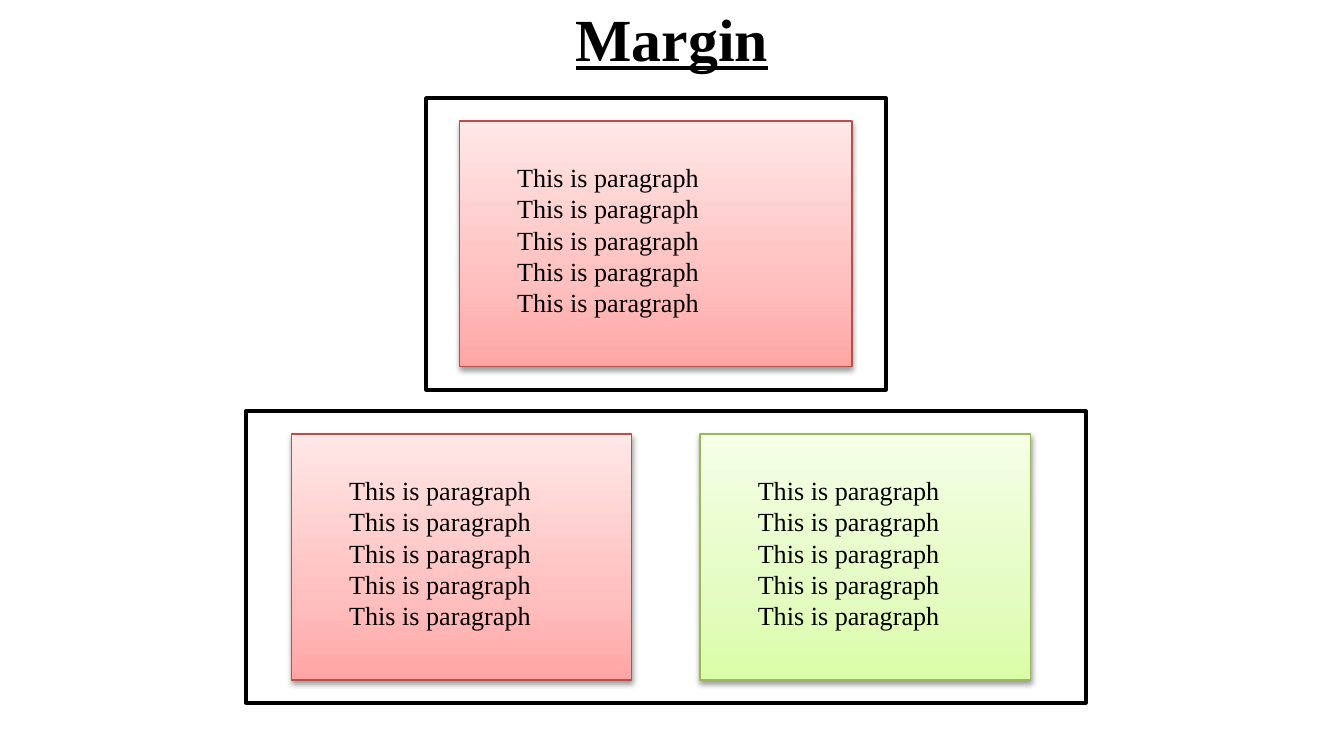
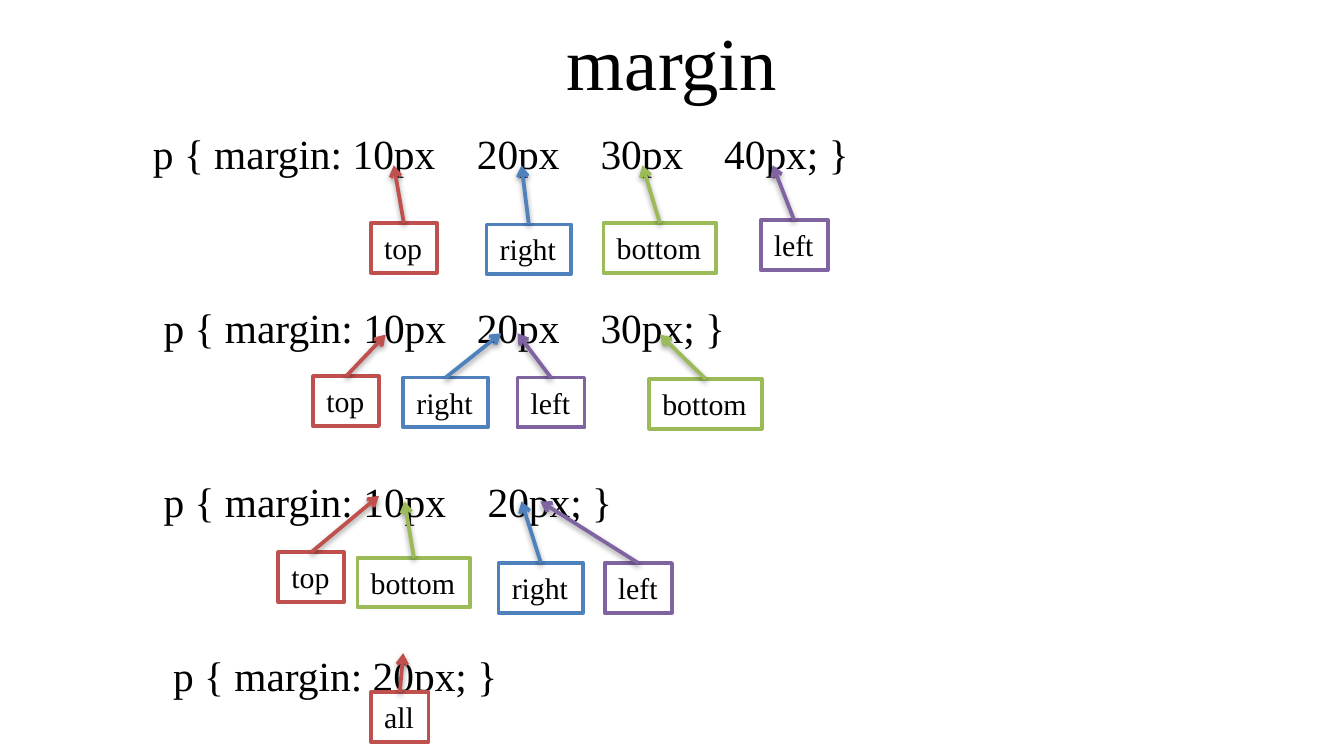
from lxml.etree import SubElement
from pptx import Presentation
from pptx.dml.color import RGBColor
from pptx.enum.shapes import MSO_CONNECTOR, MSO_SHAPE
from pptx.enum.text import MSO_ANCHOR, MSO_AUTO_SIZE, PP_ALIGN
from pptx.oxml.ns import qn
from pptx.util import Inches, Pt

FONT = "Times New Roman"
BLACK, WHITE = "000000", "FFFFFF"
# Outline, then gradient stops from the bottom edge to the top
RED_CARD = ("BF4C48", ("FFA6A5", "FFC0BF", "FFE7E7"))
GREEN_CARD = ("98B955", ("DAFDA7", "E4FCC2", "F5FFE7"))
STOP_POSITIONS = (0, 35, 100)

# Width and colour of each label
LABELS = {
    "top": (0.49, "C0504D"),
    "right": (0.63, "4F81BD"),
    "bottom": (0.84, "9BBB59"),
    "left": (0.5, "8064A2"),
    "all": (0.43, "C0504D"),
}
LABEL_HEIGHT = 0.37

# Each rule: text parts, their tab stops, labels as (word, left, top, tip x, tip y)
RULES = [
    (("p { margin: 10px", "20px", "30px", "40px; }"), (0.54, 2.95, 3.87, 4.79),
     (("top", 2.76, 1.66, 2.93, 1.23), ("right", 3.62, 1.67, 3.88, 1.23),
      ("bottom", 4.49, 1.66, 4.78, 1.23), ("left", 5.66, 1.64, 5.75, 1.23))),
    (("p { margin: 10px", "20px", "30px; }"), (0.62, 2.95, 3.87),
     (("top", 2.33, 2.8, 2.87, 2.49), ("right", 3, 2.81, 3.73, 2.48),
      ("bottom", 4.83, 2.82, 4.91, 2.49), ("left", 3.85, 2.81, 3.85, 2.48))),
    (("p { margin: 10px", "20px; }"), (0.62, 3.03),
     (("top", 2.07, 4.11, 2.82, 3.69), ("right", 3.71, 4.19, 3.88, 3.73),
      ("bottom", 2.66, 4.15, 3.01, 3.73), ("left", 4.5, 4.19, 4.02, 3.73))),
    (("p { margin: 20px; }",), (0.69,), (("all", 2.76, 5.15, 3, 4.86),)),
]


def color(value):
    """Turn a hex string into a colour."""
    return RGBColor.from_string(value)


def add_run(para, text, size, bold=False, underline=False):
    """Add one black run in the deck font."""
    span = para.add_run()
    span.text = text
    span.font.name = FONT
    span.font.size = Pt(size)
    span.font.bold = bold
    span.font.underline = underline
    span.font.color.rgb = color(BLACK)


def add_shadow(shape):
    """Give a shape or connector the soft shadow below it."""
    effects = SubElement(shape._element.spPr, qn("a:effectLst"))
    outer = SubElement(effects, qn("a:outerShdw"), blurRad=str(Pt(3.1)),
                       dist=str(Pt(1.6)), dir="5400000", rotWithShape="0")
    tone = SubElement(outer, qn("a:srgbClr"), val=BLACK)
    SubElement(tone, qn("a:alpha"), val="38000")


def add_text_box(page, left, top, width, height, wrap=True):
    """Add an empty text box and return its text frame."""
    box = page.shapes.add_textbox(Inches(left), Inches(top), Inches(width), Inches(height))
    box.text_frame.word_wrap = wrap
    return box.text_frame


def add_title(page, text, top, size, strong=False):
    """Centre the title; a strong one is bold and underlined."""
    frame = add_text_box(page, 0.5, top, 9, 0.94)
    frame.vertical_anchor = MSO_ANCHOR.MIDDLE
    para = frame.paragraphs[0]
    para.alignment = PP_ALIGN.CENTER
    add_run(para, text, size, bold=strong, underline=strong)


def add_rectangle(page, left, top, width, height, outline, weight):
    """Add a white rectangle with an outline."""
    box = page.shapes.add_shape(MSO_SHAPE.RECTANGLE, Inches(left), Inches(top),
                                Inches(width), Inches(height))
    box.fill.solid()
    box.fill.fore_color.rgb = color(WHITE)
    box.line.color.rgb = color(outline)
    box.line.width = Pt(weight)
    return box


def add_card(page, left, top, width, style):
    """Add a gradient card with five lines of text inset in it."""
    outline, tones = style
    card = add_rectangle(page, left, top, width, 1.83, outline, 0.75)
    card.fill.gradient()
    card.fill.gradient_angle = 90
    stops = card._element.spPr.find(qn("a:gradFill")).find(qn("a:gsLst"))
    for old_stop in list(stops):
        stops.remove(old_stop)
    for position, tone in zip(STOP_POSITIONS, tones):
        stop = SubElement(stops, qn("a:gs"), pos=str(position * 1000))
        SubElement(stop, qn("a:srgbClr"), val=tone)
    add_shadow(card)
    frame = add_text_box(page, left + 0.33, top + 0.25, 1.57, 1.28, wrap=False)
    for index in range(5):
        para = frame.add_paragraph() if index else frame.paragraphs[0]
        add_run(para, "This is paragraph", 14)


def add_panel(page, left, top, width, cards):
    """Add a black frame around cards given as (offset, width, style)."""
    frame = add_rectangle(page, left, top, width, 2.17, BLACK, 2)
    frame.shadow.inherit = False
    for offset, card_width, style in cards:
        add_card(page, left + offset, top + 0.17, card_width, style)


def add_rules(page, left, top, width, height):
    """Write the margin rules, one evenly spaced paragraph each."""
    frame = add_text_box(page, left, top, width, height)
    for index, (parts, stops, _) in enumerate(RULES):
        para = frame.add_paragraph() if index else frame.paragraphs[0]
        para.space_before = Pt(66.6 if index else 0)
        tabs = SubElement(para._p.get_or_add_pPr(), qn("a:tabLst"))
        for stop in stops:
            SubElement(tabs, qn("a:tab"), pos=str(Inches(stop)), algn="l")
        for part in parts:
            add_run(para, "\t" + part, 22.2)


def add_label(page, word, left, top):
    """Add an outlined word."""
    width, tone = LABELS[word]
    box = add_rectangle(page, left, top, width, LABEL_HEIGHT, tone, 2)
    box.shadow.inherit = False
    frame = box.text_frame
    frame.word_wrap = False
    frame.auto_size = MSO_AUTO_SIZE.SHAPE_TO_FIT_TEXT
    frame.vertical_anchor = MSO_ANCHOR.TOP
    frame.paragraphs[0].alignment = PP_ALIGN.LEFT
    add_run(frame.paragraphs[0], word, 16)


def add_arrow(page, word, left, top, tip_x, tip_y):
    """Point from the top centre of a label to its value."""
    width, tone = LABELS[word]
    arrow = page.shapes.add_connector(MSO_CONNECTOR.STRAIGHT, Inches(left + width / 2),
                                      Inches(top), Inches(tip_x), Inches(tip_y))
    arrow.line.color.rgb = color(tone)
    arrow.line.width = Pt(2)
    SubElement(arrow._element.spPr.find(qn("a:ln")), qn("a:tailEnd"), type="arrow")
    add_shadow(arrow)


def build_box_slide(page):
    """Show the margin around one card and between two."""
    add_title(page, "Margin", -0.19, 32, strong=True)
    add_panel(page, 3.17, 0.73, 3.42, [(0.25, 2.92, RED_CARD)])
    add_panel(page, 1.83, 3.06, 6.25, [(0.34, 2.53, RED_CARD), (3.38, 2.46, GREEN_CARD)])


def build_rule_slide(page):
    """Explain the values of the margin shorthand."""
    add_rules(page, 0.5, 0.9, 9, 4.42)
    add_title(page, "margin", -0.02, 40)
    for _, _, labels in RULES:
        for word, left, top, _, _ in labels:
            add_label(page, word, left, top)
        for label in labels:
            add_arrow(page, *label)


deck = Presentation()
deck.slide_width = Inches(10)
deck.slide_height = Inches(10 * 9 / 16)
for build in (build_box_slide, build_rule_slide):
    build(deck.slides.add_slide(deck.slide_layouts[6]))
deck.save("out.pptx")
